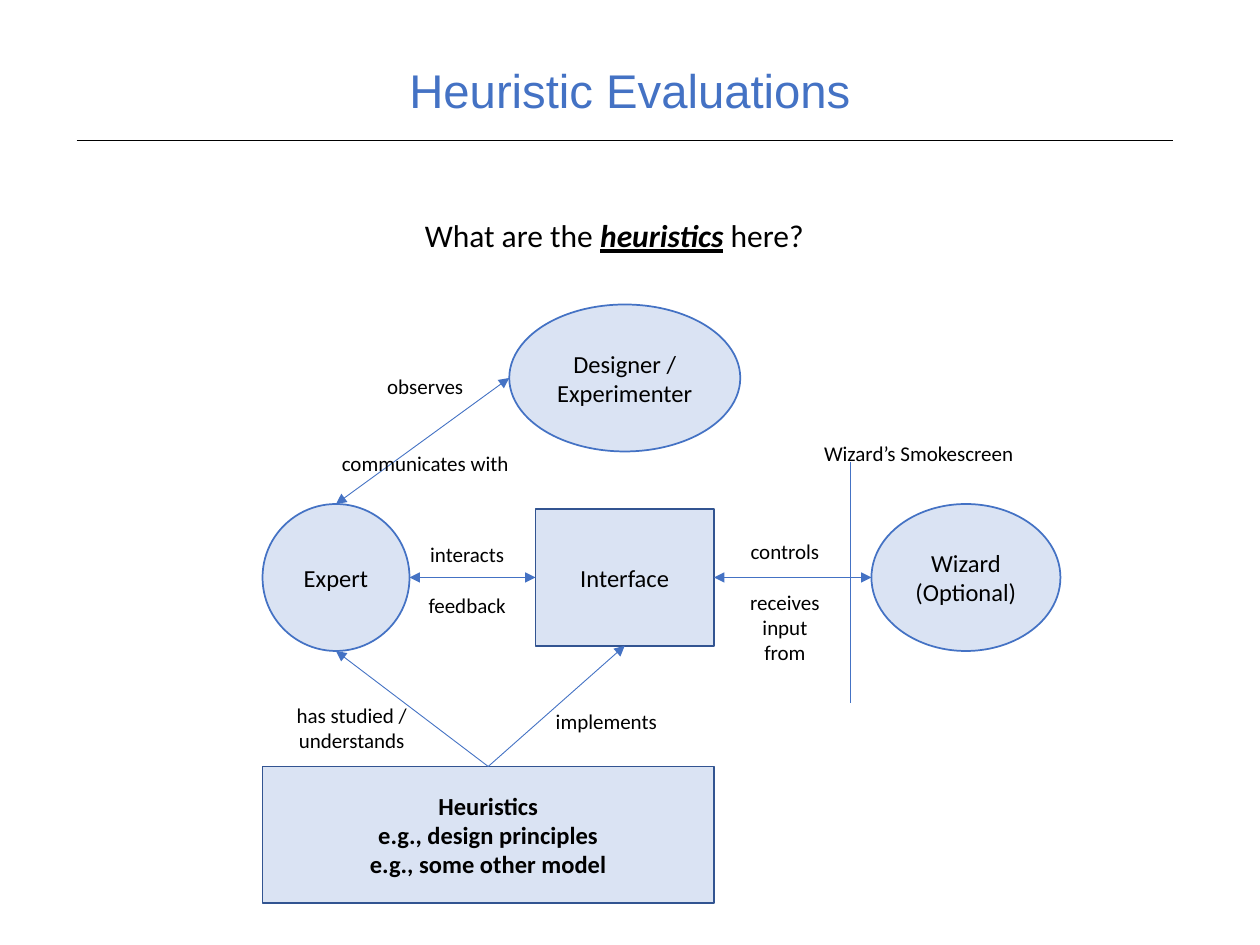
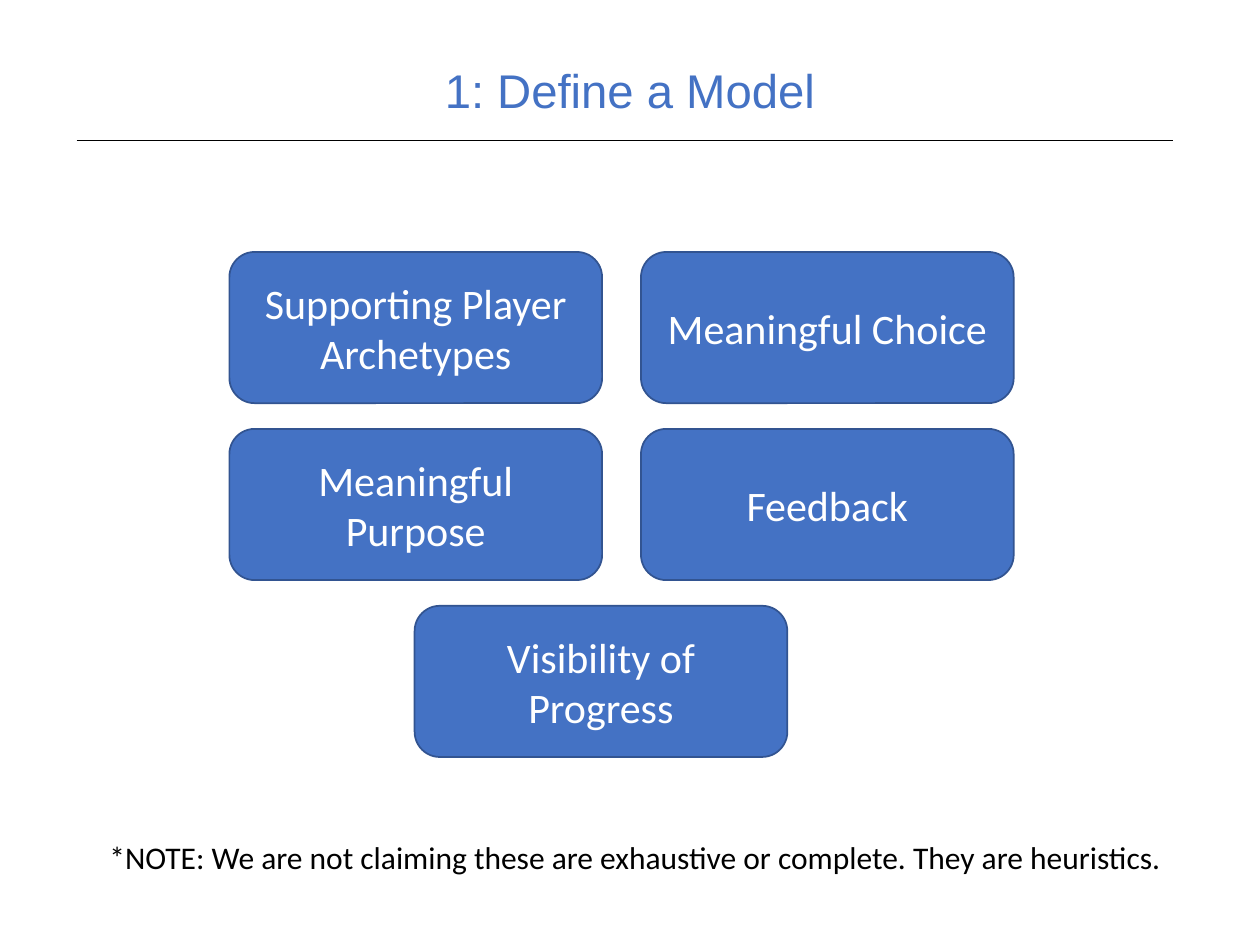
import pptx
import pptx.util
import pptx.dml.color
import pptx.enum.shapes
import pptx.enum.text
import pptx.oxml.ns
import lxml.etree

Pt = pptx.util.Pt
Shape = pptx.enum.shapes.MSO_SHAPE
Anchor = pptx.enum.text.MSO_ANCHOR
qn = pptx.oxml.ns.qn

hues = {"blue": "4472C4", "pale": "DAE3F3", "navy": "325491",
        "black": "000000", "white": "FFFFFF"}
rgb = {name: pptx.dml.color.RGBColor.from_string(code) for name, code in hues.items()}

deck = pptx.Presentation()
deck.slide_width = pptx.util.Inches(10)
deck.slide_height = pptx.util.Inches(7.5)
cell = deck.slide_width / 120


def write(text, page, box, kind=None, fill="pale", edge="navy", size=12, font="Calibri",
          ink="black", bold=False, gap=0, lead=None, pad=(0.1, 0.05)):
    spot = [round(n * cell) for n in box]
    if kind is None:
        item = page.shapes.add_textbox(*spot)
    else:
        item = page.shapes.add_shape(kind, *spot)
        item.shadow.inherit = False
        item.fill.solid()
        item.fill.fore_color.rgb = rgb[fill]
        item.line.color.rgb = rgb[edge]
        item.line.width = Pt(1)
    frame = item.text_frame
    frame.word_wrap = True
    frame.vertical_anchor = Anchor.MIDDLE if kind else Anchor.TOP
    frame.margin_left = frame.margin_right = pptx.util.Inches(pad[0])
    frame.margin_top = frame.margin_bottom = pptx.util.Inches(pad[1])
    for row, words in enumerate(text.split("\n")):
        para = frame.add_paragraph() if row else frame.paragraphs[0]
        para.alignment = pptx.enum.text.PP_ALIGN.CENTER
        if row and gap:
            para.space_before = Pt(gap)
        if lead:
            para.line_spacing = lead
        for turn, part in enumerate(words.split("|")):
            run = para.add_run()
            run.text = part
            run.font.name = font
            run.font.size = Pt(size)
            run.font.color.rgb = rgb[ink]
            strong = turn % 2 == 1
            run.font.bold = bold or strong
            run.font.italic = run.font.underline = strong
    return item


def link(page, start, end, tips=(), ink="blue"):
    ends = [round(n * cell) for n in start + end]
    line = page.shapes.add_connector(pptx.enum.shapes.MSO_CONNECTOR.STRAIGHT, *ends)
    line.line.color.rgb = rgb[ink]
    line.line.width = Pt(0.5)
    for tip in tips:
        mark = lxml.etree.SubElement(line.line._get_or_add_ln(), qn("a:" + tip))
        mark.set("type", "triangle")
    lxml.etree.SubElement(line._element.spPr, qn("a:effectLst"))
    return line


pages = []
for title in ("Heuristic Evaluations", "1: Define a Model"):
    page = deck.slides.add_slide(deck.slide_layouts[6])
    write(title, page, (8.25, 6, 103.5, 5.75), size=27, font="Arial", ink="blue",
          lead=0.9, pad=(0.07, 0.04))
    link(page, (7.3, 13.4), (111.7, 13.4), ink="black")
    pages.append(page)
flow, model = pages

write("What are the |heuristics| here?", flow, (12, 20, 93, 4.8), size=18)
nodes = {}
for name, text, box, kind, edge, bold in (
    ("expert", "Expert", (25, 48, 14, 14), Shape.OVAL, "blue", False),
    ("screen", "Interface", (51, 48.5, 17, 13), Shape.RECTANGLE, "navy", False),
    ("wizard", "Wizard\n(Optional)", (83, 48, 18, 14), Shape.OVAL, "blue", False),
    ("maker", "Designer / Experimenter", (48.5, 29, 22, 14), Shape.OVAL, "blue", False),
    ("rules", "Heuristics\ne.g., design principles\ne.g., some other model",
     (25, 73, 43, 13), Shape.RECTANGLE, "navy", True),
):
    nodes[name] = write(text, flow, box, kind, edge=edge, size=14, bold=bold)

link(flow, (81, 44), (81, 67))
both = ("headEnd", "tailEnd")
link(flow, (48.5, 36), (32, 48), both)
acts = link(flow, (51, 55), (39, 55), both)
acts.begin_connect(nodes["screen"], 1)
runs = link(flow, (83, 55), (68, 55), both)
runs.end_connect(nodes["screen"], 3)
shows = link(flow, (46.5, 73), (59.5, 61.5), ("tailEnd",))
shows.begin_connect(nodes["rules"], 0)
shows.end_connect(nodes["screen"], 2)
guides = link(flow, (46.5, 73), (32, 62), ("tailEnd",))
guides.begin_connect(nodes["rules"], 0)

blank = 14.65
for text, box, skip in (
    ("Wizard’s Smokescreen", (77, 41.4, 21, 3.6), 0),
    ("controls\nreceives input from", (69.5, 50.7, 10.5, 13.3), 1),
    ("implements", (51.5, 66.9, 12.5, 3.6), 0),
    ("has studied / understands", (27, 66.3, 13, 6), 0),
    ("observes\ncommunicates with", (31, 35, 19, 10.9), 2),
    ("interacts\nfeedback", (38, 51, 13, 8.5), 1),
):
    write(text, flow, box, gap=skip * blank)

wide, high = 35.5, 14.4
left, top = 21.85, 24
across, down = 39.2, 16.85
for text, col, row in (
    ("Supporting Player Archetypes", 0, 0),
    ("Meaningful Purpose", 0, 1),
    ("Meaningful Choice", 1, 0),
    ("Feedback", 1, 1),
    ("Visibility of Progress", 0.45, 2),
):
    write(text, model, (left + col * across, top + row * down, wide, high),
          Shape.ROUNDED_RECTANGLE, fill="blue", size=24, ink="white")
write("*NOTE: We are not claiming these are exhaustive or complete. They are heuristics.",
      model, (5, 79.2, 111, 4.8), size=18)

deck.save("out.pptx")
